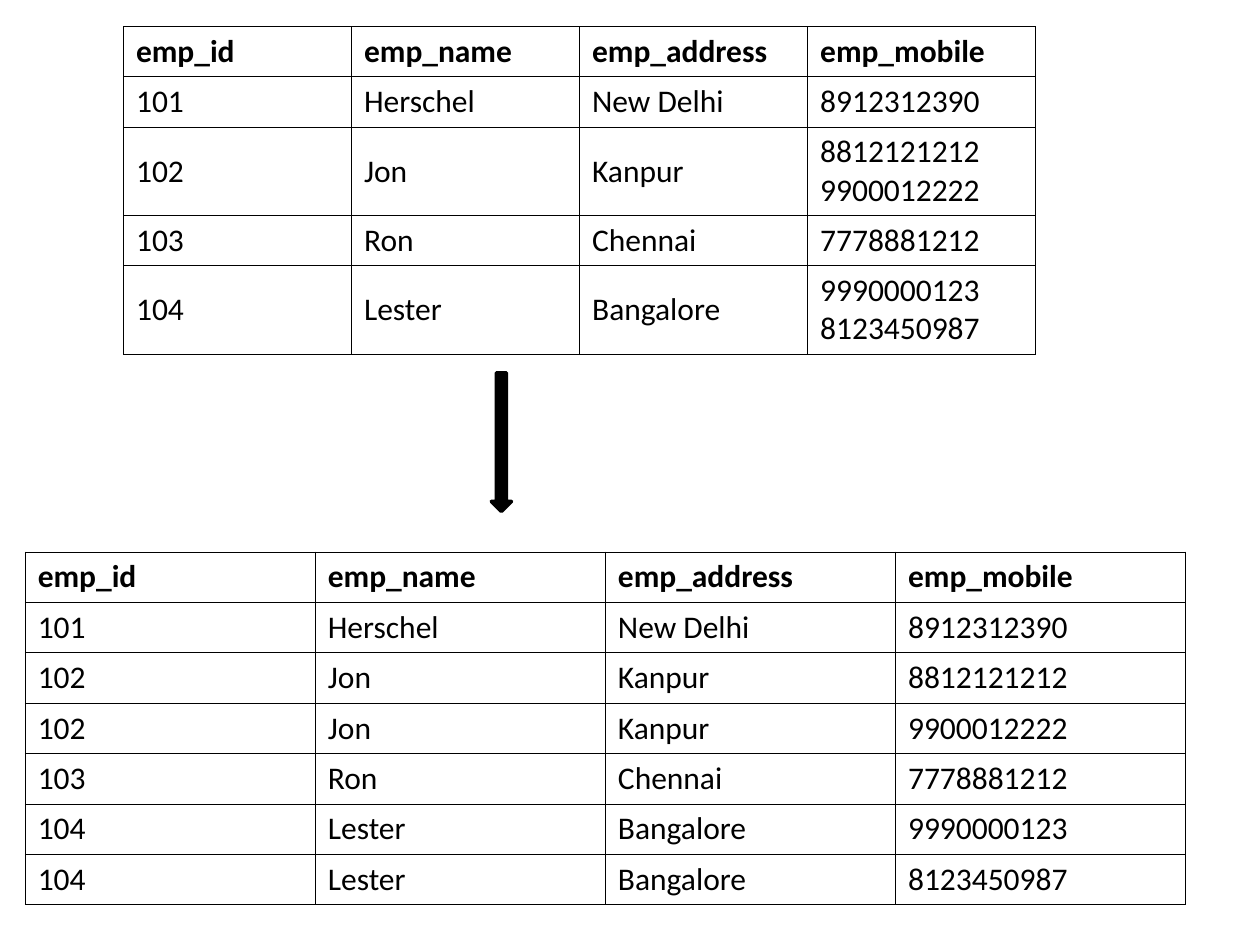
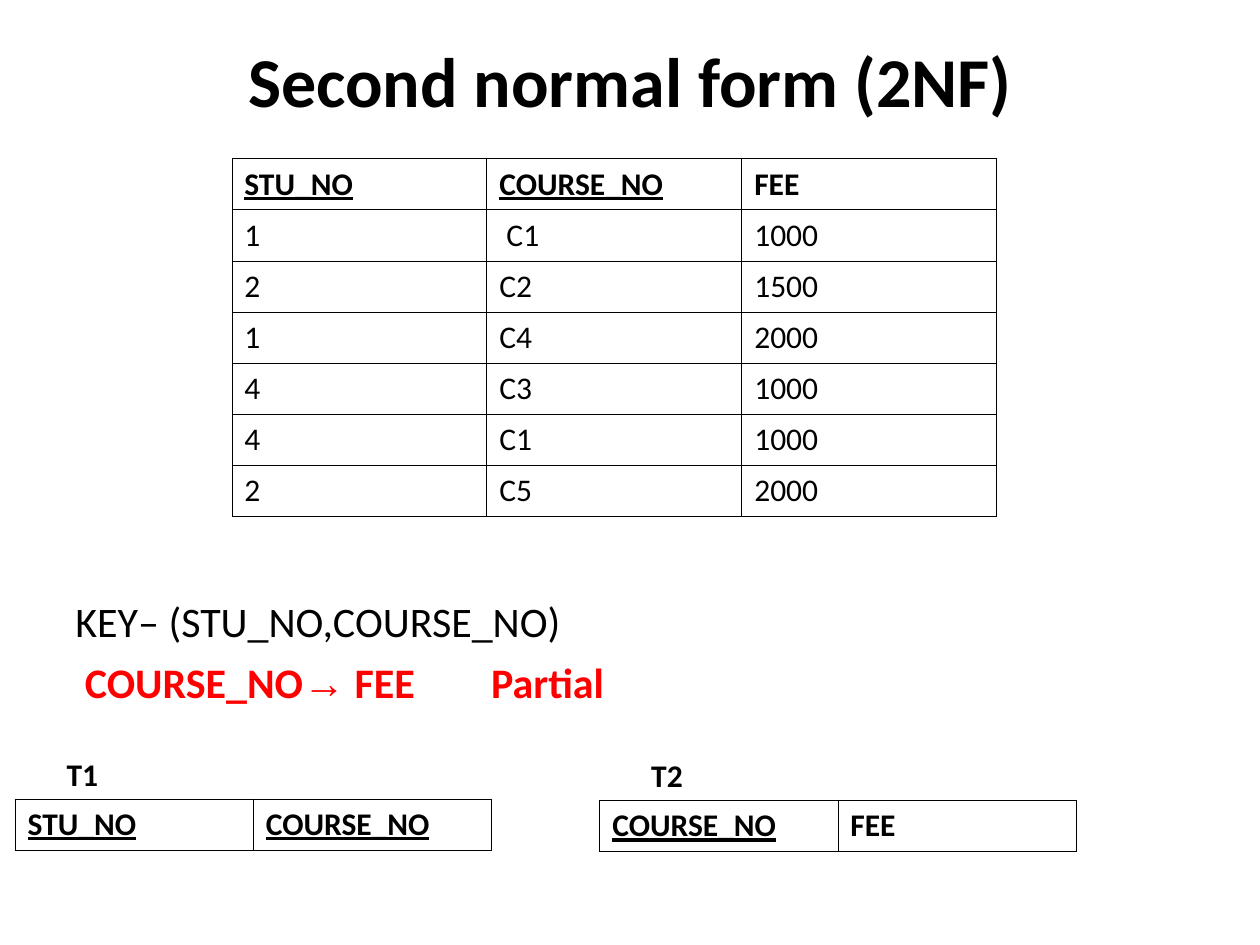
from lxml import etree
from pptx import Presentation
from pptx.dml.color import RGBColor
from pptx.enum.shapes import MSO_SHAPE as Preset
from pptx.enum.text import MSO_ANCHOR as Anchor, PP_ALIGN as Align
from pptx.oxml.ns import qn
from pptx.util import Inches, Pt

COLORS = {"ink": "000000", "partial": "FF0000"}
BODY = {"name": "Calibri", "size": Pt(18), "bold": False}
HEADER = {**BODY, "bold": True}
KEY_HEADER = {**HEADER, "underline": True}
TITLE = {**HEADER, "size": Pt(40)}
NOTE = {**BODY, "size": Pt(24)}
PARTIAL = {**NOTE, "bold": True}
BORDER = Pt(0.45)

EMPLOYEE_FIELDS = ["emp_id", "emp_name", "emp_address", "emp_mobile"]
EMPLOYEES = [
    ("101", "Herschel", "New Delhi", ["8912312390"]),
    ("102", "Jon", "Kanpur", ["8812121212", "9900012222"]),
    ("103", "Ron", "Chennai", ["7778881212"]),
    ("104", "Lester", "Bangalore", ["9990000123", "8123450987"]),
]
COURSE_FIELDS = ["STU_NO", "COURSE_NO", "FEE"]
COURSE_KEYS = {"STU_NO", "COURSE_NO"}
COURSE_FEES = [
    ("1", " C1", "1000"),
    ("2", "C2", "1500"),
    ("1", "C4", "2000"),
    ("4", "C3", "1000"),
    ("4", "C1", "1000"),
    ("2", "C5", "2000"),
]


def rgb(color):
    return RGBColor.from_string(COLORS[color])


def add_run(paragraph, text, style, color="ink"):
    run = paragraph.add_run()
    run.text = text
    for attribute, value in style.items():
        setattr(run.font, attribute, value)
    run.font.color.rgb = rgb(color)


def add_borders(cell):
    properties = cell._tc.get_or_add_tcPr()
    for side in ("lnL", "lnR", "lnT", "lnB"):
        line = etree.SubElement(properties, qn(f"a:{side}"), w=str(BORDER))
        fill = etree.SubElement(line, qn("a:solidFill"))
        etree.SubElement(fill, qn("a:srgbClr"), val=COLORS["ink"])


def fill_cell(cell, text, style):
    add_borders(cell)
    cell.fill.background()
    cell.vertical_anchor = Anchor.MIDDLE
    cell.margin_top = cell.margin_bottom = Inches(0.04)
    frame = cell.text_frame
    for index, line in enumerate(text.split("\n")):
        paragraph = frame.add_paragraph() if index else frame.paragraphs[0]
        add_run(paragraph, line, style)


def add_relation(slide, left, top, width, row_height, fields, records=(), keys=()):
    """Draw a bordered table with bold fields; key fields are underlined."""
    rows = [fields, *records]
    table = slide.shapes.add_table(
        len(rows), len(fields), Inches(left), Inches(top),
        Inches(width), Inches(row_height * len(rows))).table
    table.first_row = table.horz_banding = False
    for row_index, values in enumerate(rows):
        extra_lines = max(value.count("\n") for value in values)
        table.rows[row_index].height = Inches(row_height + 0.3 * extra_lines)
        for column, value in enumerate(values):
            style = BODY
            if row_index == 0:
                style = KEY_HEADER if value in keys else HEADER
            fill_cell(table.cell(row_index, column), value, style)


def add_text_frame(slide, left, top, width, height):
    frame = slide.shapes.add_textbox(
        Inches(left), Inches(top), Inches(width), Inches(height)).text_frame
    frame.word_wrap = True
    return frame


def add_label(slide, left, top, text):
    frame = add_text_frame(slide, left, top, 1.02, 0.4)
    add_run(frame.paragraphs[0], text, HEADER)


def add_title(slide, text):
    frame = add_text_frame(slide, 0.5, 0.3, 9, 0.66)
    frame.margin_top = frame.margin_bottom = 0
    frame.vertical_anchor = Anchor.MIDDLE
    frame.paragraphs[0].alignment = Align.CENTER
    add_run(frame.paragraphs[0], text, TITLE)


def add_down_arrow(slide, left, top, width, height):
    arrow = slide.shapes.add_shape(
        Preset.DOWN_ARROW, Inches(left), Inches(top), Inches(width), Inches(height))
    arrow.shadow.inherit = False
    arrow.fill.solid()
    arrow.fill.fore_color.rgb = arrow.line.color.rgb = rgb("ink")
    arrow.line.width = Pt(2)


def add_tab_stop(paragraph, position):
    tabs = etree.SubElement(paragraph._p.get_or_add_pPr(), qn("a:tabLst"))
    etree.SubElement(tabs, qn("a:tab"), pos=str(Inches(position)), algn="l")


def add_dependencies(slide):
    frame = add_text_frame(slide, 0.5, 4.68, 9, 1)
    key = frame.paragraphs[0]
    key.space_after = Pt(6)
    add_run(key, "KEY– (STU_NO,COURSE_NO)", NOTE)
    dependency = frame.add_paragraph()
    add_tab_stop(dependency, 3.3)
    add_run(dependency, " COURSE_NO", PARTIAL, "partial")
    add_run(dependency, "→", {**PARTIAL, "name": "Arial"}, "partial")
    add_run(dependency, " FEE\tPartial", PARTIAL, "partial")


def build_first_normal_form(slide):
    grouped = [(*person, "\n".join(mobiles)) for *person, mobiles in EMPLOYEES]
    atomic = [(*person, mobile) for *person, mobiles in EMPLOYEES for mobile in mobiles]
    add_relation(slide, 0.2, 4.38, 9.21, 0.4, EMPLOYEE_FIELDS, atomic)
    add_relation(slide, 0.98, 0.21, 7.24, 0.4, EMPLOYEE_FIELDS, grouped)
    add_down_arrow(slide, 3.9, 2.96, 0.16, 1.1)


def build_second_normal_form(slide):
    add_title(slide, "Second normal form (2NF)")
    add_dependencies(slide)
    add_relation(slide, 1.84, 1.26, 6.07, 2.84 / 7, COURSE_FIELDS, COURSE_FEES, COURSE_KEYS)
    for name, left, top, fields in (
        ("T1", 0.12, 6.34, COURSE_FIELDS[:2]),
        ("T2", 4.76, 6.35, COURSE_FIELDS[1:]),
    ):
        add_relation(slide, left, top, 3.78, 0.41, fields, keys=COURSE_KEYS)
        add_label(slide, left + 0.31, top - 0.4, name)


def main():
    deck = Presentation()
    deck.slide_width, deck.slide_height = Inches(10), Inches(7.5)
    blank = deck.slide_layouts[6]
    for build in (build_first_normal_form, build_second_normal_form):
        build(deck.slides.add_slide(blank))
    deck.save("out.pptx")


if __name__ == "__main__":
    main()
